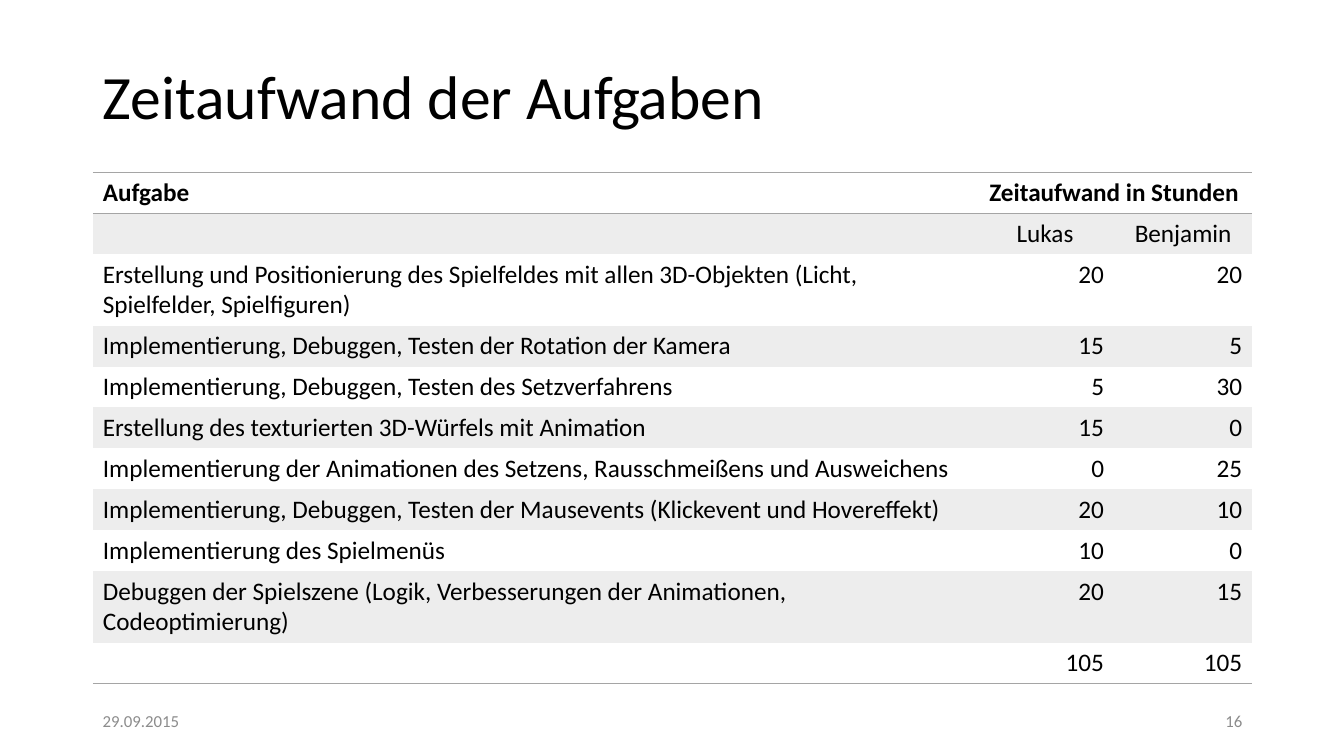
from lxml.etree import SubElement
from pptx import Presentation
from pptx.dml.color import RGBColor
from pptx.enum.text import MSO_ANCHOR, PP_ALIGN as AL
from pptx.oxml.ns import qn
from pptx.util import Inches, Pt

BLACK = RGBColor(0x00, 0x00, 0x00)
WHITE = RGBColor(0xFF, 0xFF, 0xFF)
BAND = RGBColor(0xED, 0xED, 0xED)
RULE = RGBColor(0xA5, 0xA5, 0xA5)
MUTED = RGBColor(0x8C, 0x8C, 0x8C)

FONT = "Calibri"
NO_STYLE = "{2D5ABB26-0587-4C30-8999-92F81FD0307C}"
MARGIN, CONTENT_W = 0.92, 11.5
HOURS_W, FOOTER_W = 1.37, 3
ONE_LINE, TWO_LINES = Pt(29.2), Pt(50.8)
TWO_LINE_ROWS = (2, 9)

ROWS = [
    ("Aufgabe", "Zeitaufwand in Stunden", ""),
    ("", "Lukas", "Benjamin"),
    ("Erstellung und Positionierung des Spielfeldes mit allen 3D-Objekten "
     "(Licht, Spielfelder, Spielfiguren)", 20, 20),
    ("Implementierung, Debuggen, Testen der Rotation der Kamera", 15, 5),
    ("Implementierung, Debuggen, Testen des Setzverfahrens", 5, 30),
    ("Erstellung des texturierten 3D-Würfels mit Animation", 15, 0),
    ("Implementierung der Animationen des Setzens, Rausschmeißens und "
     "Ausweichens", 0, 25),
    ("Implementierung, Debuggen, Testen der Mausevents (Klickevent und "
     "Hovereffekt)", 20, 10),
    ("Implementierung des Spielmenüs", 10, 0),
    ("Debuggen der Spielszene (Logik, Verbesserungen der Animationen, "
     "Codeoptimierung)", 20, 15),
    ("", 105, 105),
]


def write(tf, text, size, color=BLACK, bold=False, align=AL.LEFT):
    p = tf.paragraphs[0]
    p.alignment = align
    r = p.add_run()
    r.text = str(text)
    for name, value in dict(name=FONT, size=Pt(size), bold=bold).items():
        setattr(r.font, name, value)
    r.font.color.rgb = color
    return p


def place(sp, left, top, width, height):
    box = dict(left=left, top=top, width=width, height=height)
    for name, value in box.items():
        setattr(sp, name, Inches(value))


def add_title(s, text):
    sp = s.shapes.title
    place(sp, MARGIN, 0.4, CONTENT_W, 1.18)
    sp.text_frame.vertical_anchor = MSO_ANCHOR.MIDDLE
    write(sp.text_frame, text, 44).line_spacing = 0.9


def add_footer(s, text, left, align):
    sp = s.shapes.add_textbox(0, 0, 0, 0)
    place(sp, left, 6.95, FOOTER_W, 0.4)
    tf = sp.text_frame
    tf.word_wrap = True
    tf.vertical_anchor = MSO_ANCHOR.MIDDLE
    write(tf, text, 12, MUTED, align=align)


def add_rule(cell, side):
    """Draw one horizontal border; side is lnT or lnB."""
    ln = SubElement(cell._tc.get_or_add_tcPr(), qn(f"a:{side}"), w=str(Pt(1)))
    fill = SubElement(ln, qn("a:solidFill"))
    SubElement(fill, qn("a:srgbClr"), val=str(RULE))


def format_cell(cell, value, row, col):
    last = len(ROWS) - 1
    for side in {0: ("lnT", "lnB"), last: ("lnB",)}.get(row, ()):
        add_rule(cell, side)
    cell.fill.solid()
    cell.fill.fore_color.rgb = BAND if row % 2 and row < last else WHITE
    if value != "":
        align = AL.LEFT if col == 0 else AL.CENTER if row < 2 else AL.RIGHT
        write(cell.text_frame, value, 18, bold=row == 0, align=align)


def add_hours_table(s):
    frame = s.shapes.add_table(
        len(ROWS), 3, Inches(MARGIN), Inches(1.71), Inches(CONTENT_W),
        ONE_LINE * len(ROWS))
    table = frame.table
    table._tbl.tblPr.find(qn("a:tableStyleId")).text = NO_STYLE
    table.horz_banding = False
    widths = (CONTENT_W - 2 * HOURS_W, HOURS_W, HOURS_W)
    for column, width in zip(table.columns, widths):
        column.width = Inches(width)
    for i, values in enumerate(ROWS):
        table.rows[i].height = TWO_LINES if i in TWO_LINE_ROWS else ONE_LINE
        for j, value in enumerate(values):
            format_cell(table.cell(i, j), value, i, j)
    table.cell(0, 1).merge(table.cell(0, 2))


def main():
    prs = Presentation()
    prs.slide_width, prs.slide_height = Inches(13.33), Inches(7.5)
    s = prs.slides.add_slide(prs.slide_layouts[5])
    add_title(s, "Zeitaufwand der Aufgaben")
    add_hours_table(s)
    add_footer(s, "29.09.2015", MARGIN, AL.LEFT)
    add_footer(s, "16", MARGIN + CONTENT_W - FOOTER_W, AL.RIGHT)
    prs.save("out.pptx")


if __name__ == "__main__":
    main()
